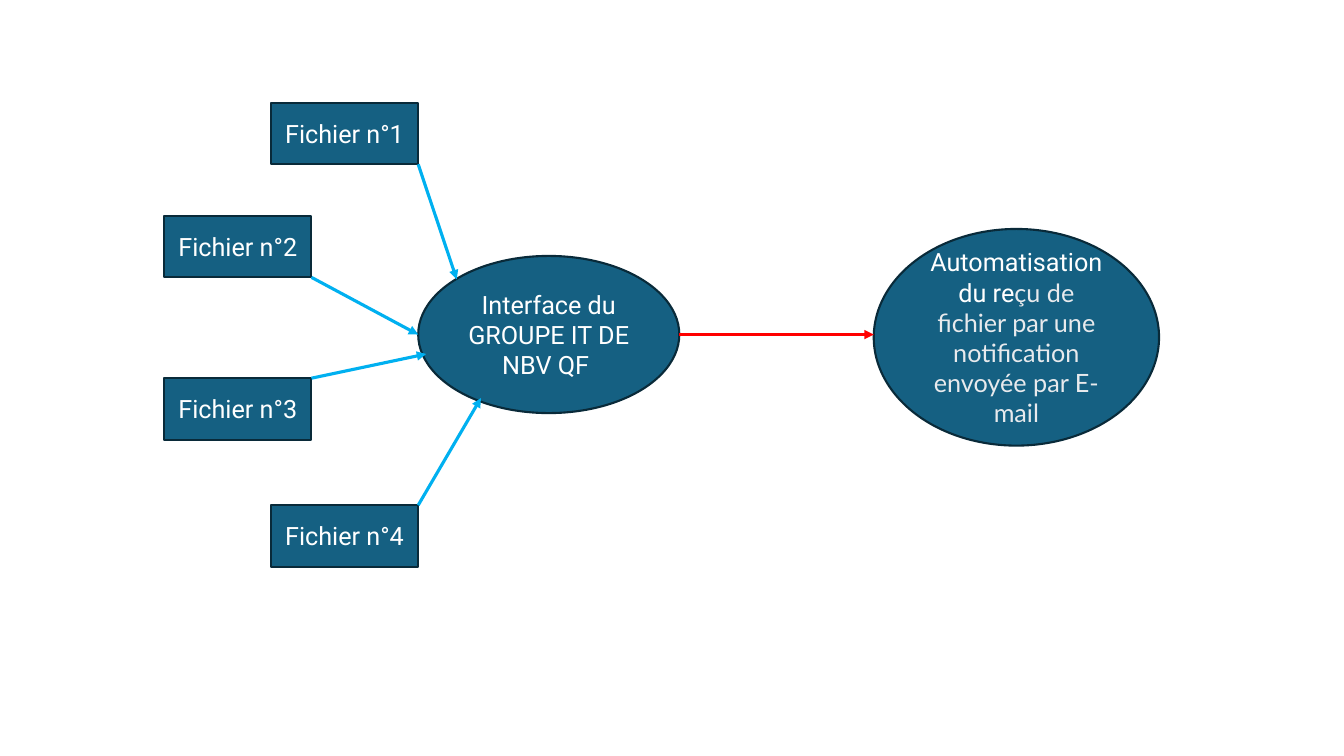
from lxml.etree import SubElement
from pptx import Presentation
from pptx.dml.color import RGBColor
from pptx.enum.shapes import MSO_CONNECTOR as Connector, MSO_SHAPE as Shape
from pptx.enum.text import MSO_ANCHOR as Anchor, PP_ALIGN as Align
from pptx.oxml.ns import qn
from pptx.util import Cm, Pt

FILES_BOX = (4.14, 2.59, 6.4, 11.69)
INTERFACE_BOX = (10.54, 6.45, 6.58, 3.96)
AUTOMATION_BOX = (22.02, 5.77, 7.19, 5.46)
FILE_WIDTH, FILE_HEIGHT = 3.71, 1.55
FILE_TOPS = (0, 2.85, 6.94, 10.14)
ARROW_TIPS = ((0.97, 0.59), (0, 1.98), (0.2, 2.47), (1.58, 3.58))

WHITE_TEXT = {"name": "Roboto", "size": Pt(18), "color": "FFFFFF"}
GREY_TEXT = {"name": "Lato", "size": Pt(18), "color": "E8EAED"}


def color(hex_value):
    return RGBColor.from_string(hex_value)


def set_font(font, values):
    for name, value in values.items():
        if name == "color":
            font.color.rgb = color(value)
        else:
            setattr(font, name, value)


def add_node(slide, kind, box, *runs):
    shape = slide.shapes.add_shape(kind, *map(Cm, box))
    shape.shadow.inherit = False
    shape.fill.solid()
    shape.fill.fore_color.rgb = color("156082")
    shape.line.color.rgb = color("092A39")
    shape.line.width = Pt(1.5)
    frame = shape.text_frame
    frame.word_wrap = True
    frame.vertical_anchor = Anchor.MIDDLE
    paragraph = frame.paragraphs[0]
    paragraph.alignment = Align.CENTER
    for text, font_values in runs:
        run = paragraph.add_run()
        run.text = text
        set_font(run.font, font_values)


def add_arrow(slide, start, end, hex_value):
    arrow = slide.shapes.add_connector(Connector.STRAIGHT, *map(Cm, (*start, *end)))
    arrow.line.color.rgb = color(hex_value)
    arrow.line.width = Pt(2.25)
    SubElement(arrow.line._get_or_add_ln(), qn("a:tailEnd"), type="triangle")
    SubElement(arrow._element.spPr, qn("a:effectLst"))


def add_interface(slide, box):
    add_node(slide, Shape.OVAL, box, ("Interface du GROUPE IT DE NBV QF ", WHITE_TEXT))


def add_files(slide, box, target):
    left, top, width, height = box
    target_left, target_top = target[:2]
    for index, (file_top, tip) in enumerate(zip(FILE_TOPS, ARROW_TIPS)):
        is_outer = index in (0, 3)
        file_left = left + (width - FILE_WIDTH if is_outer else 0)
        y = top + file_top
        add_node(slide, Shape.RECTANGLE, (file_left, y, FILE_WIDTH, FILE_HEIGHT),
                 (f"Fichier n°{index + 1}", WHITE_TEXT))
        corner_y = y + FILE_HEIGHT if index < 2 else y
        add_arrow(slide, (file_left + FILE_WIDTH, corner_y),
                  (target_left + tip[0], target_top + tip[1]), "00B0F0")


def add_automation(slide, box, source):
    add_node(slide, Shape.OVAL, box,
             ("Automatisation du re", WHITE_TEXT),
             ("çu de fichier par une notification envoyée par E-mail", GREY_TEXT))
    left, top, width, height = source
    middle = top + height / 2
    add_arrow(slide, (left + width, middle), (box[0], middle), "FF0000")


def main():
    presentation = Presentation()
    presentation.slide_width = Cm(33.87)
    presentation.slide_height = Cm(19.05)
    slide = presentation.slides.add_slide(presentation.slide_layouts[6])
    add_interface(slide, INTERFACE_BOX)
    add_files(slide, FILES_BOX, INTERFACE_BOX)
    add_automation(slide, AUTOMATION_BOX, INTERFACE_BOX)
    presentation.save("out.pptx")


if __name__ == "__main__":
    main()
